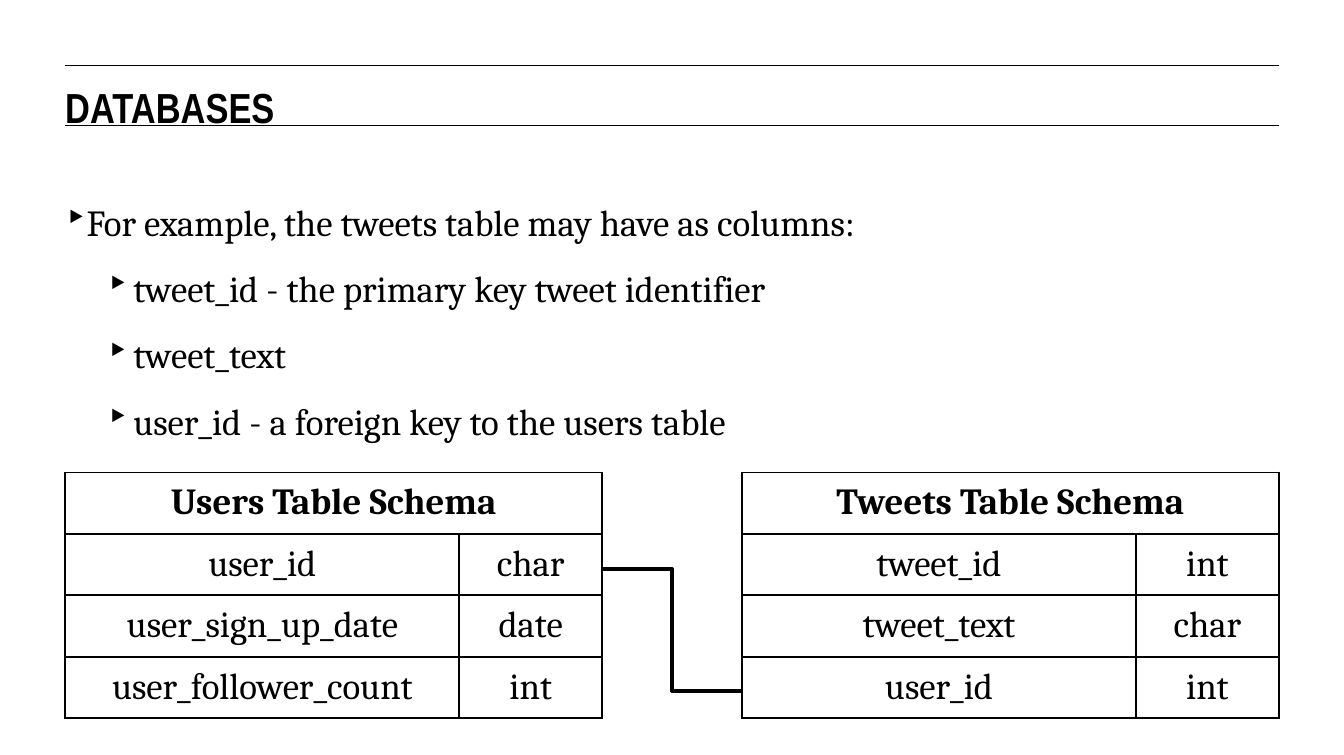
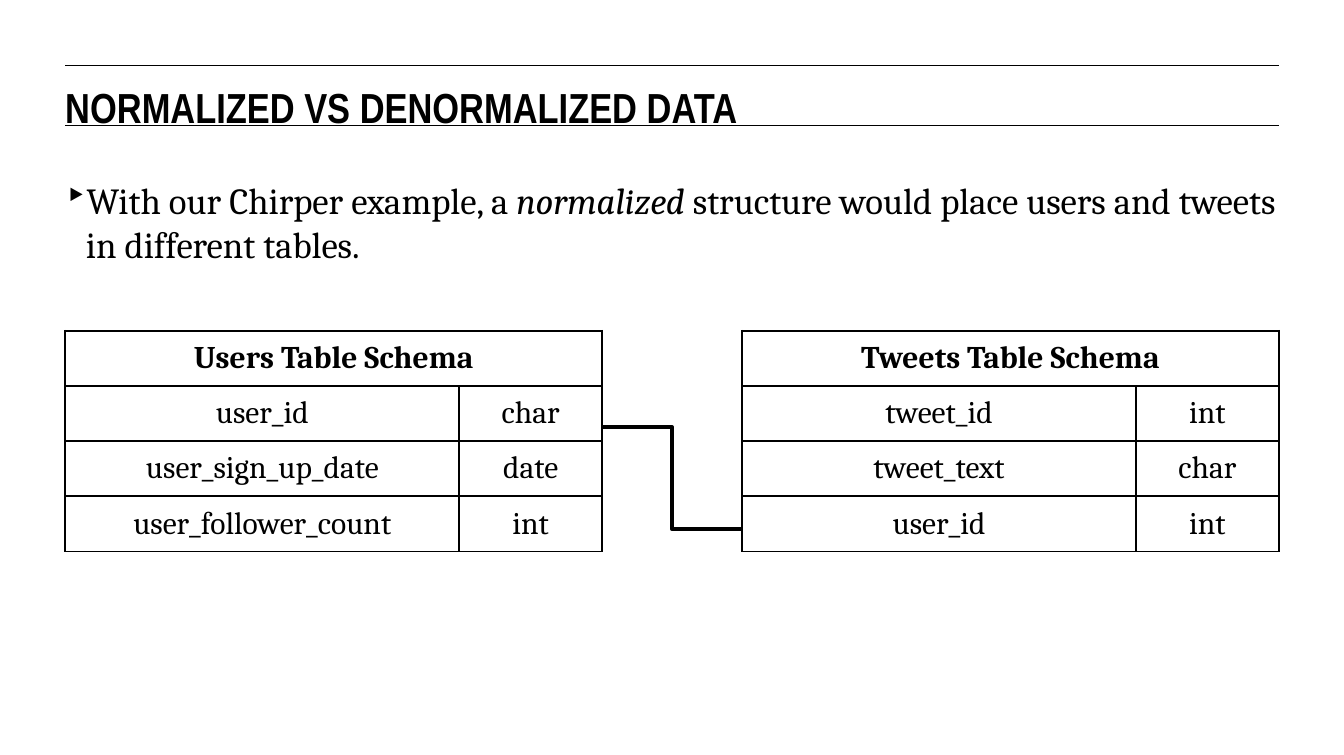
from pptx import Presentation
from pptx.dml.color import RGBColor
from pptx.enum.shapes import MSO_CONNECTOR as Link
from pptx.enum.text import MSO_ANCHOR as Anchor, MSO_AUTO_SIZE as Fit, PP_ALIGN as Align
from pptx.oxml.ns import qn
from pptx.util import Inches, Pt
from lxml.etree import SubElement as sub

WIDE, HIGH = 14.22, 7.99
LEFT, SPAN = 0.69, 12.84
RULES = (0.69, 1.33)
COLS = (4.17, 1.51)
INK = "000000"
HEAD, BODY = "Arial Narrow", "Cambria"

USERS = ("Users Table Schema", [
    ("user_id", "char"),
    ("user_sign_up_date", "date"),
    ("user_follower_count", "int"),
])
TWEETS = ("Tweets Table Schema", [
    ("tweet_id", "int"),
    ("tweet_text", "char"),
    ("user_id", "int"),
])

PAGES = [
    {
        "title": "DATABASES",
        "top": 2.11,
        "points": [
            (0, [("For example, the tweets table may have as columns:", False)]),
            (1, [("tweet_id - the primary key tweet identifier", False)]),
            (1, [("tweet_text", False)]),
            (1, [("user_id - a foreign key to the users table", False)]),
        ],
        "grid": 5.0, "row": 0.65, "size": 28, "link": (1.02, 2.31),
    },
    {
        "title": "NORMALIZED VS DENORMALIZED DATA",
        "top": 1.88,
        "points": [
            (0, [("With our Chirper example, a ", False),
                 ("normalized", True),
                 (" structure would place users and tweets in different tables.", False)]),
        ],
        "grid": 3.5, "row": 0.58, "size": 24, "link": (1.02, 2.1),
    },
]


def color(code):
    return RGBColor.from_string(code)


def write(para, text, size, face=BODY, bold=False, slant=False):
    run = para.add_run()
    run.text = text
    font = run.font
    font.size, font.name = Pt(size), face
    font.bold, font.italic = bold, slant
    font.color.rgb = color(INK)


def draw_line(slide, kind, start, end, width):
    line = slide.shapes.add_connector(kind, *map(Inches, start + end))
    line.line.color.rgb = color(INK)
    line.line.width = Pt(width)
    sub(line._element.spPr, qn("a:effectLst"))


def set_frame(frame):
    frame.word_wrap = True
    frame.auto_size = Fit.NONE
    frame.vertical_anchor = Anchor.TOP
    frame.margin_left = frame.margin_right = 0
    frame.margin_top = frame.margin_bottom = 0


def add_title(slide, text):
    for y in RULES:
        draw_line(slide, Link.STRAIGHT, (LEFT, y), (LEFT + SPAN, y), 0.75)
    title = slide.shapes.title
    title.left, title.top = Inches(LEFT), Inches(0.86)
    title.width, title.height = Inches(SPAN), Inches(0.47)
    set_frame(title.text_frame)
    para = title.text_frame.paragraphs[0]
    para.alignment = Align.LEFT
    write(para, text, 32, HEAD, bold=True)


def add_points(slide, top, points):
    box = slide.shapes.add_textbox(*map(Inches, (LEFT, top, SPAN, 0.7 * len(points))))
    frame = box.text_frame
    set_frame(frame)
    for i, (level, runs) in enumerate(points):
        para = frame.add_paragraph() if i else frame.paragraphs[0]
        para.level = level
        para.space_after = Pt(17)
        props = para._p.get_or_add_pPr()
        props.set("marL", str(Inches(0.22 + 0.5 * level)))
        props.set("indent", str(-Inches(0.28 if level else 0.22)))
        sub(props, qn("a:buChar")).set("char", "‣")
        for text, slant in runs:
            write(para, text, 28, slant=slant)


def set_cell(cell, text, size, bold):
    cell.fill.background()
    cell.margin_left = cell.margin_right = Inches(0.1)
    cell.margin_top = cell.margin_bottom = Inches(0.1)
    props = cell._tc.get_or_add_tcPr()
    for i, side in enumerate(("lnL", "lnR", "lnT", "lnB")):
        edge = props.makeelement(qn("a:" + side), {"w": str(Pt(1.5))})
        sub(sub(edge, qn("a:solidFill")), qn("a:srgbClr")).set("val", INK)
        props.insert(i, edge)
    if text:
        para = cell.text_frame.paragraphs[0]
        para.alignment = Align.CENTER
        write(para, text, size, bold=bold)


def add_grid(slide, left, page, schema):
    name, fields = schema
    rows = [(name, "")] + fields
    place = (left, page["grid"], sum(COLS), page["row"] * len(rows))
    table = slide.shapes.add_table(len(rows), len(COLS), *map(Inches, place)).table
    table.first_row = table.horz_banding = False
    for col, width in zip(table.columns, COLS):
        col.width = Inches(width)
    for r, texts in enumerate(rows):
        table.rows[r].height = Inches(page["row"])
        for c, text in enumerate(texts):
            set_cell(table.cell(r, c), text, page["size"], r == 0)
    table.cell(0, 0).merge(table.cell(0, 1))


def main():
    deck = Presentation()
    deck.slide_width, deck.slide_height = Inches(WIDE), Inches(HIGH)
    near = LEFT + sum(COLS)
    far = LEFT + SPAN - sum(COLS)
    for page in PAGES:
        slide = deck.slides.add_slide(deck.slide_layouts[5])
        add_title(slide, page["title"])
        add_points(slide, page["top"], page["points"])
        add_grid(slide, LEFT, page, USERS)
        add_grid(slide, far, page, TWEETS)
        start, end = (page["grid"] + y for y in page["link"])
        draw_line(slide, Link.ELBOW, (near, start), (far, end), 3)
    deck.save("out.pptx")


if __name__ == "__main__":
    main()
